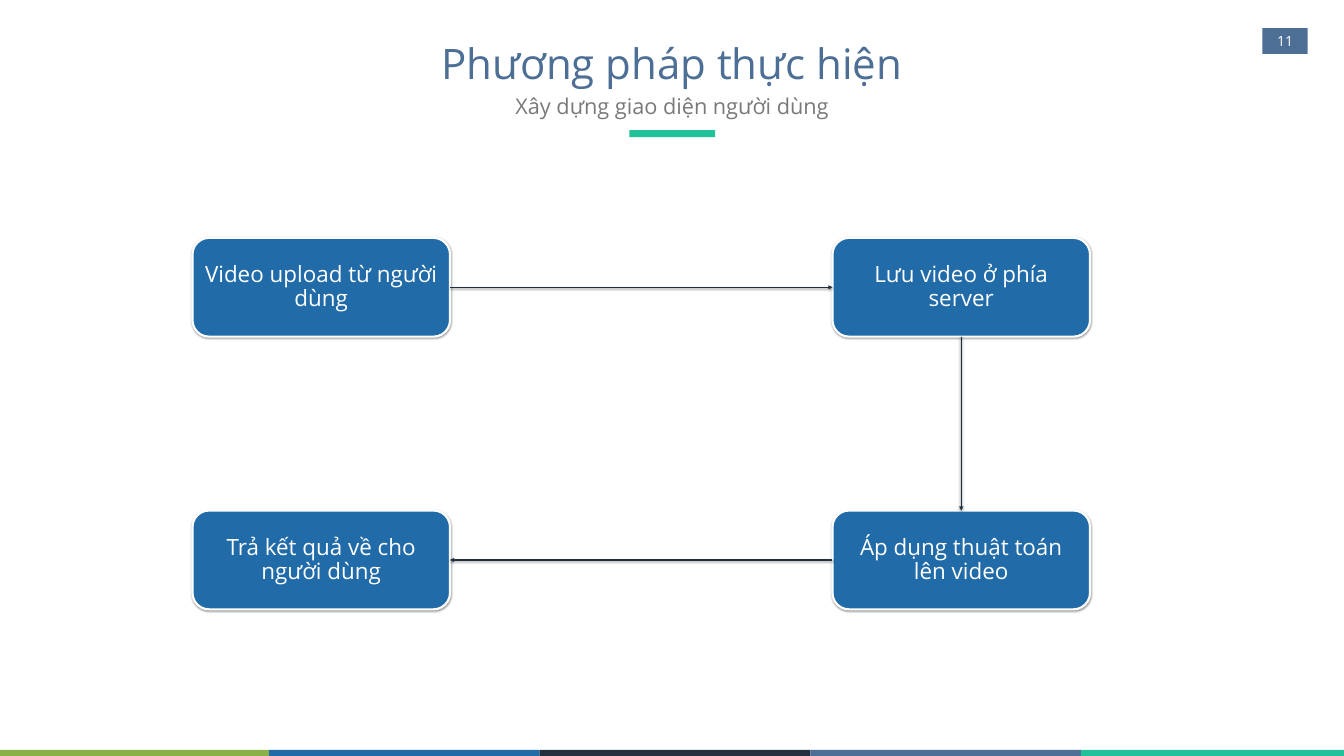
from dataclasses import dataclass
from pptx import Presentation
from pptx.dml.color import RGBColor
from pptx.enum.shapes import MSO_CONNECTOR, MSO_SHAPE
from pptx.enum.text import MSO_ANCHOR, MSO_AUTO_SIZE, PP_ALIGN
from pptx.oxml import parse_xml
from pptx.oxml.ns import nsdecls
from pptx.util import Inches, Pt


@dataclass(frozen=True)
class Theme:
    font: str = "Open Sans"
    white: RGBColor = RGBColor.from_string("FFFFFF")
    green: RGBColor = RGBColor.from_string("8AB147")
    blue: RGBColor = RGBColor.from_string("216BA9")
    navy: RGBColor = RGBColor.from_string("212F3F")
    slate: RGBColor = RGBColor.from_string("4D6F96")
    teal: RGBColor = RGBColor.from_string("22C199")
    gray: RGBColor = RGBColor.from_string("797979")
    title: Pt = Pt(60)
    subtitle: Pt = Pt(31)
    step: Pt = Pt(32)
    page: Pt = Pt(20)


theme = Theme()
SHADOW = (
    f'<a:effectLst {nsdecls("a")}><a:outerShdw blurRad="40000" dist="20000" dir="5400000" '
    'rotWithShape="0"><a:srgbClr val="000000"><a:alpha val="38000"/></a:srgbClr>'
    "</a:outerShdw></a:effectLst>"
)


def write(shape, text, size, color, anchor, spacing=1.0, inset=(0.1, 0.05)):
    frame = shape.text_frame
    frame.text = text
    across, down = map(Inches, inset)
    frame_format = {
        "word_wrap": True, "auto_size": MSO_AUTO_SIZE.NONE, "vertical_anchor": anchor,
        "margin_left": across, "margin_right": across,
        "margin_top": down, "margin_bottom": down,
    }
    paragraph = frame.paragraphs[0]
    paragraph_format = {
        "alignment": PP_ALIGN.CENTER, "line_spacing": spacing, "space_before": Pt(0),
    }
    font_format = {"name": theme.font, "size": size, "bold": False}
    for target, values in (
        (frame, frame_format), (paragraph, paragraph_format), (paragraph.font, font_format),
    ):
        for attribute, value in values.items():
            setattr(target, attribute, value)
    paragraph.font.color.rgb = color


def add_block(kind, box, fill):
    block = slide.shapes.add_shape(kind, *map(Inches, box))
    block.shadow.inherit = False
    block.fill.solid()
    block.fill.fore_color.rgb = fill
    block.line.fill.background()
    return block


deck = Presentation()
deck.slide_width, deck.slide_height = Inches(26.67), Inches(15)
slide = deck.slides.add_slide(deck.slide_layouts[0])

band_width = 5.37
for index, color in enumerate((theme.green, theme.blue, theme.navy, theme.slate, theme.teal)):
    add_block(MSO_SHAPE.RECTANGLE, (-0.03 + index * band_width, 14.88, band_width, 0.2), color)

title, subtitle = slide.placeholders
for heading, box in ((title, (2, 0.62, 22.67, 1.24)), (subtitle, (6.96, 1.62, 12.75, 0.92))):
    for side, length in zip(("left", "top", "width", "height"), box):
        setattr(heading, side, Inches(length))
write(title, "Phương pháp thực hiện", theme.title, theme.slate,
      MSO_ANCHOR.MIDDLE, inset=(0.24, 0.12))
write(subtitle, "Xây dựng giao diện người dùng", theme.subtitle, theme.gray,
      MSO_ANCHOR.TOP, spacing=1.2, inset=(0.24, 0.12))

page_number = add_block(MSO_SHAPE.RECTANGLE, (25.05, 0.56, 0.9, 0.51), theme.slate)
write(page_number, "11", theme.page, theme.white, MSO_ANCHOR.MIDDLE, inset=(0, 0))
add_block(MSO_SHAPE.RECTANGLE, (12.49, 2.58, 1.7, 0.14), theme.teal)

left, right = 3.82, 16.52
upper, lower = 4.72, 10.13
steps = []
for text, x, y in (
    ("Video upload từ người dùng", left, upper),
    ("Lưu video ở phía server", right, upper),
    ("Áp dụng thuật toán lên video", right, lower),
    ("Trả kết quả về cho người dùng", left, lower),
):
    step = add_block(MSO_SHAPE.ROUNDED_RECTANGLE, (x, y, 5.11, 1.96), theme.blue)
    step.line.color.rgb = theme.white
    step.line.width = Pt(3)
    properties = step.element.spPr
    properties.replace(properties.find("{*}effectLst"), parse_xml(SHADOW))
    write(step, text, theme.step, theme.white, MSO_ANCHOR.MIDDLE, spacing=0.9)
    steps.append(step)

TOP, LEFT, BOTTOM, RIGHT = range(4)
for source, target, start, end in zip(steps, steps[1:], (RIGHT, BOTTOM, LEFT), (LEFT, TOP, RIGHT)):
    arrow = slide.shapes.add_connector(MSO_CONNECTOR.STRAIGHT, 0, 0, 0, 0)
    arrow.begin_connect(source, start)
    arrow.end_connect(target, end)
    arrow.line.color.rgb = theme.navy
    arrow.line.width = Pt(2)
    arrow.line._get_or_add_ln().append(parse_xml(f'<a:tailEnd {nsdecls("a")} type="triangle"/>'))
    arrow.element.spPr.append(parse_xml(SHADOW))

deck.save("out.pptx")
